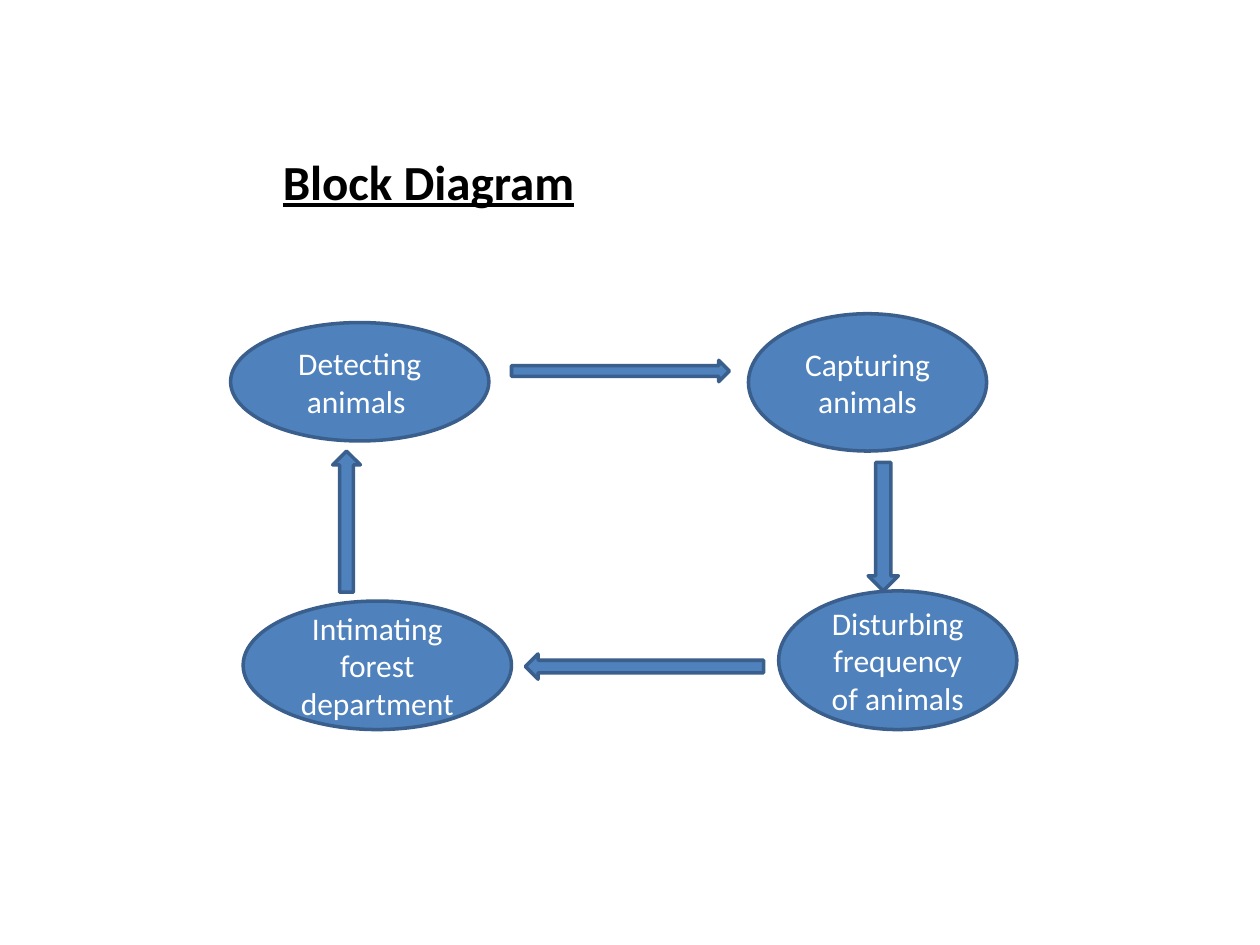
from dataclasses import dataclass

from pptx import Presentation
from pptx.dml.color import RGBColor
from pptx.enum.shapes import MSO_SHAPE
from pptx.enum.text import MSO_ANCHOR, MSO_AUTO_SIZE, PP_ALIGN
from pptx.util import Inches, Pt

SLIDE_WIDTH, SLIDE_HEIGHT = Inches(10), Inches(7.5)
FILL, OUTLINE, WHITE, BLACK = "4F81BD", "3A5F8C", "FFFFFF", "000000"


@dataclass(frozen=True)
class Box:
    """A rectangle in percent of the slide's width and height."""
    left: float
    top: float
    width: float
    height: float

    def lengths(self) -> tuple[int, int, int, int]:
        """Return the box as slide lengths."""
        return (int(SLIDE_WIDTH * self.left / 100), int(SLIDE_HEIGHT * self.top / 100),
                int(SLIDE_WIDTH * self.width / 100), int(SLIDE_HEIGHT * self.height / 100))


@dataclass(frozen=True)
class Block:
    """A block of the diagram: a step with text, or an arrow without."""
    kind: MSO_SHAPE
    box: Box
    lines: tuple[str, ...] = ()


BLOCKS = (
    Block(MSO_SHAPE.OVAL, Box(18.3, 34.13, 20.5, 12.53), ("Detecting animals ",)),
    Block(MSO_SHAPE.OVAL, Box(59.4, 33.2, 18.9, 14.53), ("Capturing", "animals")),
    Block(MSO_SHAPE.OVAL, Box(61.8, 62.53, 18.9, 14.67), ("Disturbing frequency of animals",)),
    Block(MSO_SHAPE.OVAL, Box(19.3, 63.6, 21.3, 13.6), ("Intimating forest department",)),
    Block(MSO_SHAPE.RIGHT_ARROW, Box(40.6, 38.13, 17.3, 2.27)),
    Block(MSO_SHAPE.DOWN_ARROW, Box(68.9, 48.93, 2.4, 13.6)),
    Block(MSO_SHAPE.LEFT_ARROW, Box(41.7, 69.2, 18.9, 2.67)),
    Block(MSO_SHAPE.UP_ARROW, Box(26.4, 47.73, 2.2, 14.93)),
)


def color(value: str) -> RGBColor:
    """Turn a hex string into a colour."""
    return RGBColor.from_string(value)


def write_lines(text_frame, lines: tuple[str, ...], size: float, hex_color: str,
                heading: bool = False) -> None:
    """Write each line as a centred paragraph."""
    for index, line in enumerate(lines):
        paragraph = text_frame.add_paragraph() if index else text_frame.paragraphs[0]
        paragraph.alignment = PP_ALIGN.CENTER
        run = paragraph.add_run()
        run.text = line
        run.font.name = "Calibri"
        run.font.size = Pt(size)
        run.font.color.rgb = color(hex_color)
        if heading:
            run.font.bold = run.font.underline = True


def draw_block(slide, block: Block) -> None:
    """Draw a step or an arrow."""
    shape = slide.shapes.add_shape(block.kind, *block.box.lengths())
    shape.shadow.inherit = False
    shape.fill.solid()
    shape.fill.fore_color.rgb = color(FILL)
    shape.line.color.rgb = color(OUTLINE)
    shape.line.width = Pt(2)
    shape.text_frame.word_wrap = True
    shape.text_frame.vertical_anchor = MSO_ANCHOR.MIDDLE
    write_lines(shape.text_frame, block.lines, 18, WHITE)


def draw_heading(slide, text: str, box: Box) -> None:
    """Draw the heading above the diagram."""
    text_frame = slide.shapes.add_textbox(*box.lengths()).text_frame
    text_frame.word_wrap = False
    text_frame.auto_size = MSO_AUTO_SIZE.SHAPE_TO_FIT_TEXT
    write_lines(text_frame, (text,), 28, BLACK, heading=True)


def main() -> None:
    """Build and save the presentation."""
    presentation = Presentation()
    presentation.slide_width, presentation.slide_height = SLIDE_WIDTH, SLIDE_HEIGHT
    slide = presentation.slides.add_slide(presentation.slide_layouts[6])
    for block in BLOCKS:
        draw_block(slide, block)
    draw_heading(slide, "Block Diagram", Box(21.3, 15.33, 25.4, 7.6))
    presentation.save("out.pptx")


if __name__ == "__main__":
    main()
